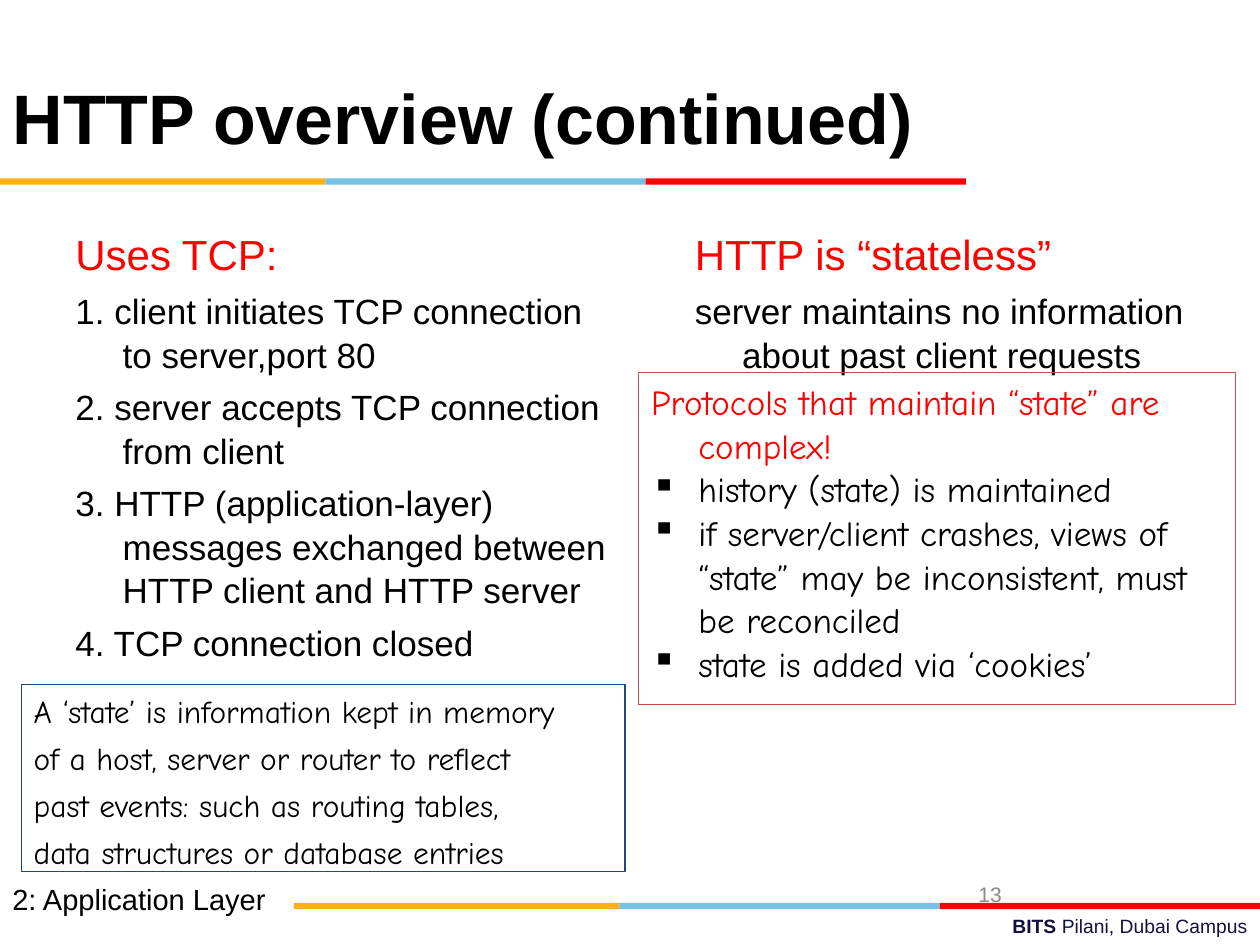
from dataclasses import dataclass

import pptx
import pptx.dml.color
import pptx.enum.shapes
import pptx.enum.text
import pptx.oxml
import pptx.oxml.ns
import pptx.util
from pptx.util import Pt

BLACK, RED, NAVY, GRAY = "000000", "FF0000", "101141", "898989"
HANGING = 27


@dataclass
class Line:
    text: str
    size: float
    color: str = BLACK
    bullet: str = ""


@dataclass
class Panel:
    left: float
    top: float
    width: float
    height: float
    lines: list[Line]
    font: str = "Arial"
    gap: float = 0
    indent: float = 0
    spacing: float = 1.0
    outline: str = ""


@dataclass
class Bar:
    width: float
    color: str


BARS = [Bar(186, "FCB017"), Bar(183, "76C2E5"), Bar(183, RED)]

PANELS = [
    Panel(36, 126, 318, 356, [
        Line("Uses TCP:", 24, RED),
        Line("1. client initiates TCP connection to server,port 80", 20),
        Line("2. server accepts TCP connection from client", 20),
        Line("3. HTTP (application-layer) messages exchanged between HTTP client and HTTP server", 20),
        Line("4. TCP connection closed", 20),
    ], gap=5, indent=HANGING, spacing=1.04),
    Panel(390, 126, 318, 356, [
        Line("HTTP is “stateless”", 24, RED),
        Line("server maintains no information about past client requests", 20),
    ], gap=5, indent=HANGING, spacing=1.04),
    Panel(0, 500.4, 228, 29, [Line("2: Application Layer", 16.6)]),
    Panel(552, 500.4, 168, 29, [Line("13", 12, GRAY)]),
    Panel(365, 213, 341, 189.5, [
        Line("Protocols that maintain “state” are complex!", 20, RED),
        Line("history (state) is maintained", 20, bullet="▪"),
        Line("if server/client crashes, views of “state” may be inconsistent, must be reconciled", 20, bullet="▪"),
        Line("state is added via ‘cookies’", 20, bullet="▪"),
    ], font="Comic Neue", indent=HANGING, spacing=1.04, outline="C0504D"),
    Panel(12.2, 391, 345, 107, [
        Line("A ‘state’ is information kept in memory", 18),
        Line("of a host, server or router to reflect", 18),
        Line("past events: such as routing tables,", 18),
        Line("data structures or database entries", 18),
    ], font="Comic Neue", gap=4.5, indent=HANGING, spacing=1.04, outline="1F497D"),
]


def rgb(color: str) -> pptx.dml.color.RGBColor:
    return pptx.dml.color.RGBColor.from_string(color)


def style_font(font, name: str, size: float, color: str, bold: bool = False) -> None:
    font.name = name
    font.size = Pt(size)
    font.bold = bold
    font.color.rgb = rgb(color)


def add_bars(page, left: float, top: float) -> None:
    for bar in BARS:
        shape = page.shapes.add_shape(
            pptx.enum.shapes.MSO_SHAPE.RECTANGLE, Pt(left), Pt(top), Pt(bar.width), Pt(3.6))
        shape.shadow.inherit = False
        shape.fill.solid()
        shape.fill.fore_color.rgb = rgb(bar.color)
        shape.line.fill.background()
        left += bar.width


def add_bullet(properties, character: str) -> None:
    namespace = pptx.oxml.ns.nsdecls("a")
    properties.append(pptx.oxml.parse_xml(
        f'<a:buClr {namespace}><a:srgbClr val="{BLACK}"/></a:buClr>'))
    properties.append(pptx.oxml.parse_xml(f'<a:buChar {namespace} char="{character}"/>'))


def add_panel(page, panel: Panel) -> None:
    box = page.shapes.add_textbox(Pt(panel.left), Pt(panel.top), Pt(panel.width), Pt(panel.height))
    if panel.outline:
        box.line.color.rgb = rgb(panel.outline)
        box.line.width = Pt(0.75)
    frame = box.text_frame
    frame.word_wrap = True
    for index, line in enumerate(panel.lines):
        para = frame.add_paragraph() if index else frame.paragraphs[0]
        para.text = line.text
        properties = para._p.get_or_add_pPr()
        if panel.indent:
            properties.set("marL", str(Pt(panel.indent)))
            properties.set("indent", str(-Pt(panel.indent)))
        if line.bullet:
            add_bullet(properties, line.bullet)
        para.line_spacing = panel.spacing
        para.space_before = Pt(panel.gap if index else 0)
        style_font(para.font, panel.font, line.size, line.color)


def add_title(page, text: str) -> None:
    title = page.shapes.title
    title.left, title.top, title.width, title.height = Pt(0), Pt(21.6), Pt(648), Pt(90)
    frame = title.text_frame
    frame.text = text
    frame.auto_size = pptx.enum.text.MSO_AUTO_SIZE.NONE
    frame.vertical_anchor = pptx.enum.text.MSO_ANCHOR.MIDDLE
    para = frame.paragraphs[0]
    para.alignment = pptx.enum.text.PP_ALIGN.LEFT
    style_font(para.font, "Arial", 40, BLACK, bold=True)


def add_campus(page) -> None:
    box = page.shapes.add_textbox(Pt(258), Pt(519), Pt(462), Pt(21))
    box.text_frame.word_wrap = True
    para = box.text_frame.paragraphs[0]
    para.alignment = pptx.enum.text.PP_ALIGN.RIGHT
    for text, bold in (("BITS ", True), ("Pilani, Dubai Campus", False)):
        span = para.add_run()
        span.text = text
        style_font(span.font, "Arial", 11, NAVY, bold)


def main() -> None:
    deck = pptx.Presentation()
    deck.slide_width, deck.slide_height = Pt(720), Pt(540)
    page = deck.slides.add_slide(deck.slide_layouts.get_by_name("Title Only"))
    add_title(page, "HTTP overview (continued)")
    add_bars(page, 0, 102)
    add_bars(page, 168, 516)
    add_campus(page)
    for panel in PANELS:
        add_panel(page, panel)
    deck.save("out.pptx")


if __name__ == "__main__":
    main()
